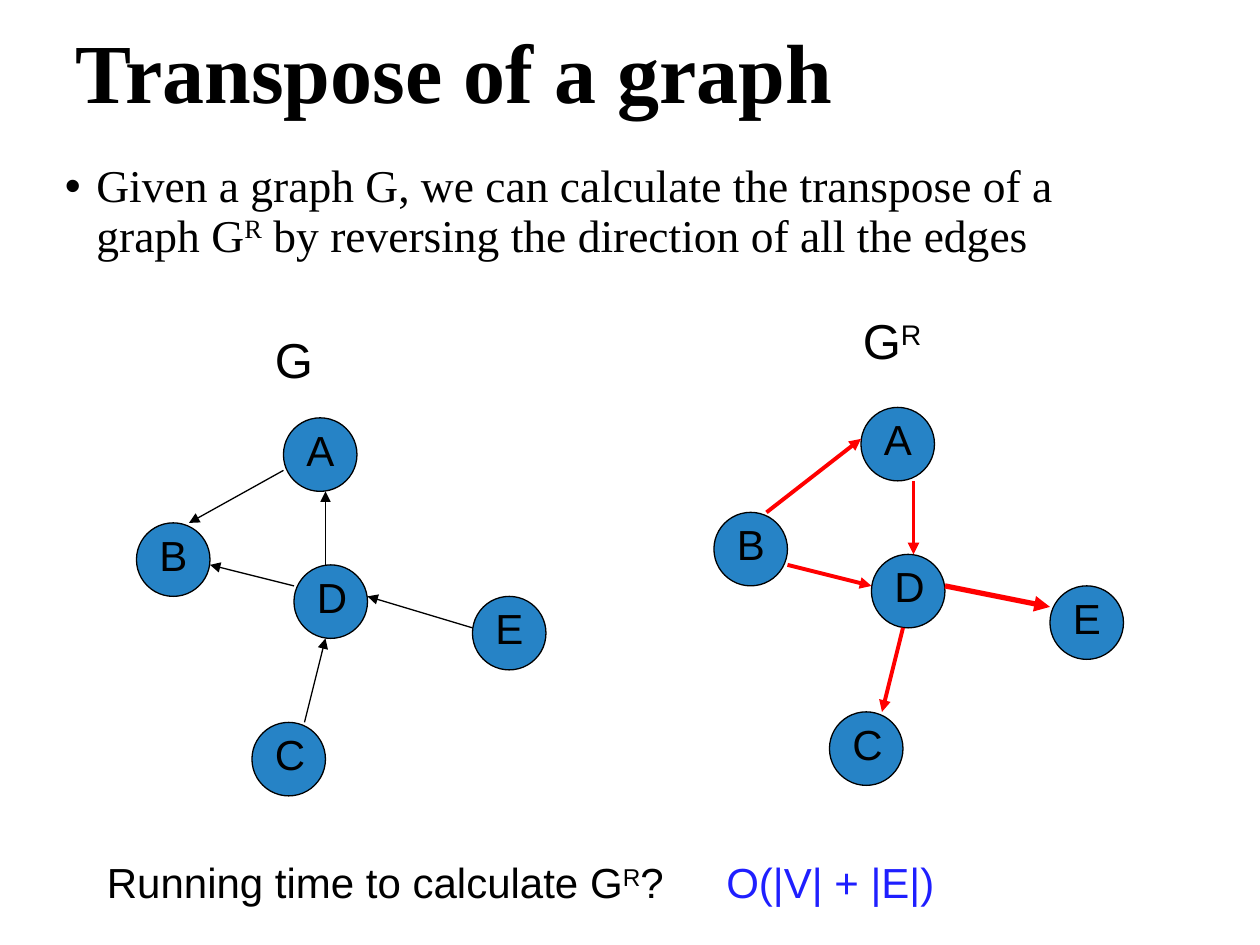
from lxml import etree
from pptx import Presentation
from pptx.dml.color import RGBColor
from pptx.enum.shapes import MSO_CONNECTOR, MSO_SHAPE
from pptx.enum.text import MSO_ANCHOR, MSO_AUTO_SIZE, PP_ALIGN
from pptx.oxml.ns import qn
from pptx.util import Emu, Pt

ELLIPSE = MSO_SHAPE.OVAL
STRAIGHT = MSO_CONNECTOR.STRAIGHT
LEFT = PP_ALIGN.LEFT
TOP = MSO_ANCHOR.TOP
MIDDLE = MSO_ANCHOR.MIDDLE
GROW = MSO_AUTO_SIZE.SHAPE_TO_FIT_TEXT
NO_FIT = MSO_AUTO_SIZE.NONE

EMU_PER_PX = 7620
SUPER = "30000"


def px(n):
    return Emu(n * EMU_PER_PX)


def color(value):
    return RGBColor.from_string(value)


class SlideBuilder:
    serif = "Times New Roman"
    sans = "Arial"
    ink = "000000"
    node_fill = "2683C6"
    node_size = 70

    def __init__(self, slide):
        self.slide = slide

    def add_runs(self, sp, runs, size, font, ink=ink, bold=False, anchor=TOP, fit=GROW):
        tf = sp.text_frame
        tf.word_wrap = True
        tf.auto_size = fit
        tf.vertical_anchor = anchor
        p = tf.paragraphs[0]
        p.alignment = LEFT
        for text, baseline in runs:
            r = p.add_run()
            r.text = text
            r.font.name = font
            r.font.size = Pt(size)
            r.font.bold = bold
            r.font.color.rgb = color(ink)
            if baseline:
                r.font._element.set("baseline", baseline)
        return p

    def title(self, x, y, w, h, text):
        sp = self.slide.shapes.title
        sp.left, sp.top, sp.width, sp.height = px(x), px(y), px(w), px(h)
        p = self.add_runs(sp, [(text, None)], 48, self.serif, bold=True, anchor=MIDDLE, fit=NO_FIT)
        p.line_spacing = 0.9

    def bullet(self, x, y, w, h, runs):
        sp = self.slide.shapes.add_textbox(px(x), px(y), px(w), px(h))
        p = self.add_runs(sp, runs, 26, self.serif, fit=NO_FIT)
        p.line_spacing = 0.9
        pPr = p._p.get_or_add_pPr()
        pPr.set("marL", str(px(30)))
        pPr.set("indent", str(px(-30)))
        etree.SubElement(pPr, qn("a:buFont")).set("typeface", self.sans)
        etree.SubElement(pPr, qn("a:buChar")).set("char", "•")

    def text(self, x, y, w, h, runs, size, ink=ink, shapes=None):
        shapes = shapes or self.slide.shapes
        sp = shapes.add_textbox(px(x), px(y), px(w), px(h))
        self.add_runs(sp, runs, size, self.sans, ink)

    def node(self, x, y, name):
        shapes = self.slide.shapes.add_group_shape().shapes
        sp = shapes.add_shape(ELLIPSE, px(x), px(y), px(self.node_size), px(self.node_size))
        sp.shadow.inherit = False
        sp.fill.solid()
        sp.fill.fore_color.rgb = color(self.node_fill)
        sp.line.color.rgb = color(self.ink)
        sp.line.width = Pt(0.75)
        self.text(x + 10, y, 60, 60, [(name, None)], 24, shapes=shapes)

    def arrow(self, x1, y1, x2, y2, ink, width):
        cx = self.slide.shapes.add_connector(STRAIGHT, px(x1), px(y1), px(x2), px(y2))
        cx.line.color.rgb = color(ink)
        cx.line.width = Pt(width)
        etree.SubElement(cx.line._get_or_add_ln(), qn("a:tailEnd")).set("type", "triangle")
        etree.SubElement(cx._element.spPr, qn("a:effectLst"))

    def graph(self, dx, dy, nodes, edges, ink):
        for name, x, y in nodes:
            self.node(x + dx, y + dy, name)
        for x1, y1, x2, y2, width in edges:
            self.arrow(x1 + dx, y1 + dy, x2 + dx, y2 + dy, ink, width)


NODES = [("A", 270, 398), ("B", 130, 498), ("C", 240, 688), ("E", 450, 568), ("D", 280, 538)]
EDGES = [
    (270, 448, 180, 498, 0.75),
    (310, 538, 310, 468, 0.75),
    (280, 558, 200, 538, 0.75),
    (290, 688, 310, 608, 0.75),
    (450, 598, 350, 568, 0.75),
]
REVERSED_EDGES = [
    (180, 498, 270, 428, 2.25),
    (200, 548, 280, 568, 2.25),
    (320, 468, 320, 538, 2.25),
    (310, 608, 290, 688, 2.25),
    (350, 568, 450, 588, 3),
]


def main():
    prs = Presentation()
    prs.slide_width, prs.slide_height = px(1200), px(900)
    s = SlideBuilder(prs.slides.add_slide(prs.slide_layouts[5]))

    s.title(60, 16, 990, 114, "Transpose of a graph")
    s.bullet(50, 150, 980, 155, [
        ("Given a graph G, we can calculate the transpose of a graph G", None),
        ("R", SUPER),
        (" by reversing the direction of all the edges", None),
    ])

    s.graph(0, 0, NODES, EDGES, s.ink)
    s.graph(550, -10, NODES, REVERSED_EDGES, "FF0000")

    s.text(250, 308, 130, 68, [("G", None)], 28)
    s.text(810, 290, 130, 68, [("G", None), ("R", SUPER)], 28)
    s.text(90, 810, 590, 60, [("Running time to calculate G", None), ("R", SUPER), ("?", None)], 24)
    s.text(680, 810, 230, 60, [("O(|V| + |E|)", None)], 24, "1F1FFF")

    prs.save("out.pptx")


if __name__ == "__main__":
    main()
